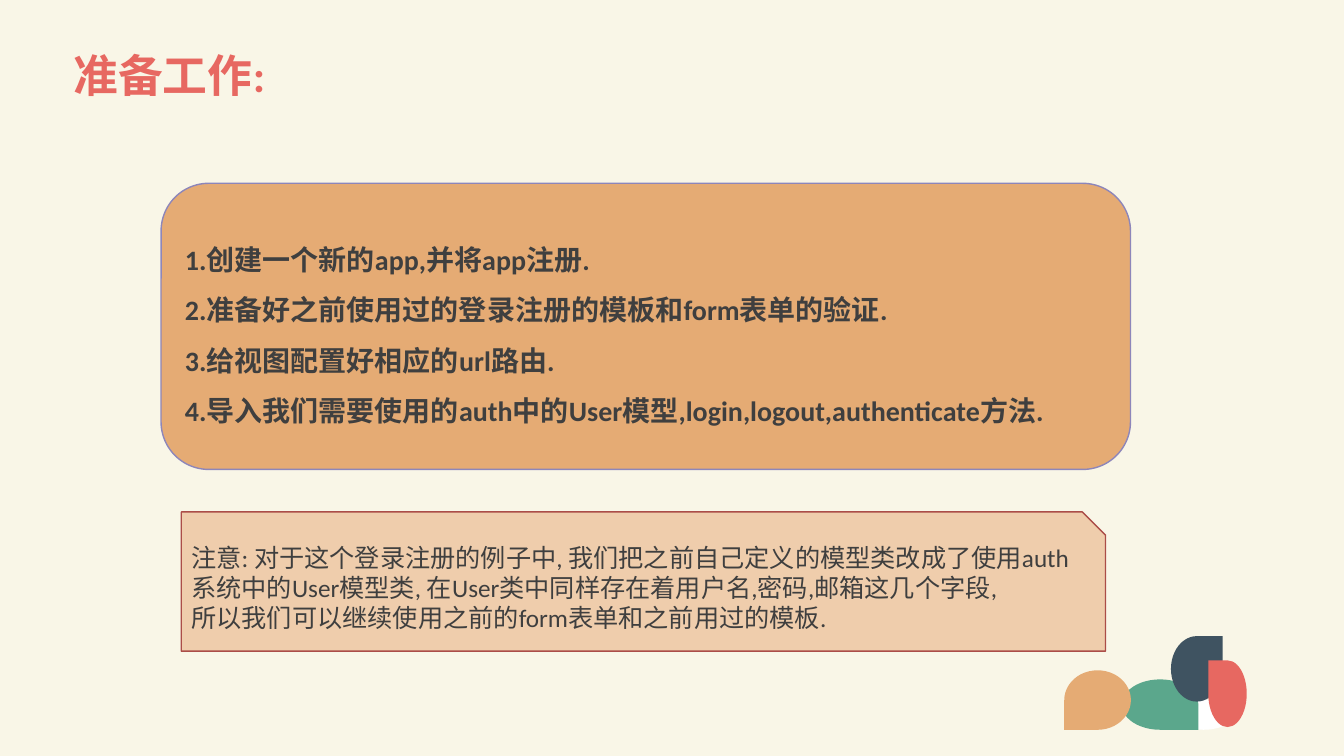
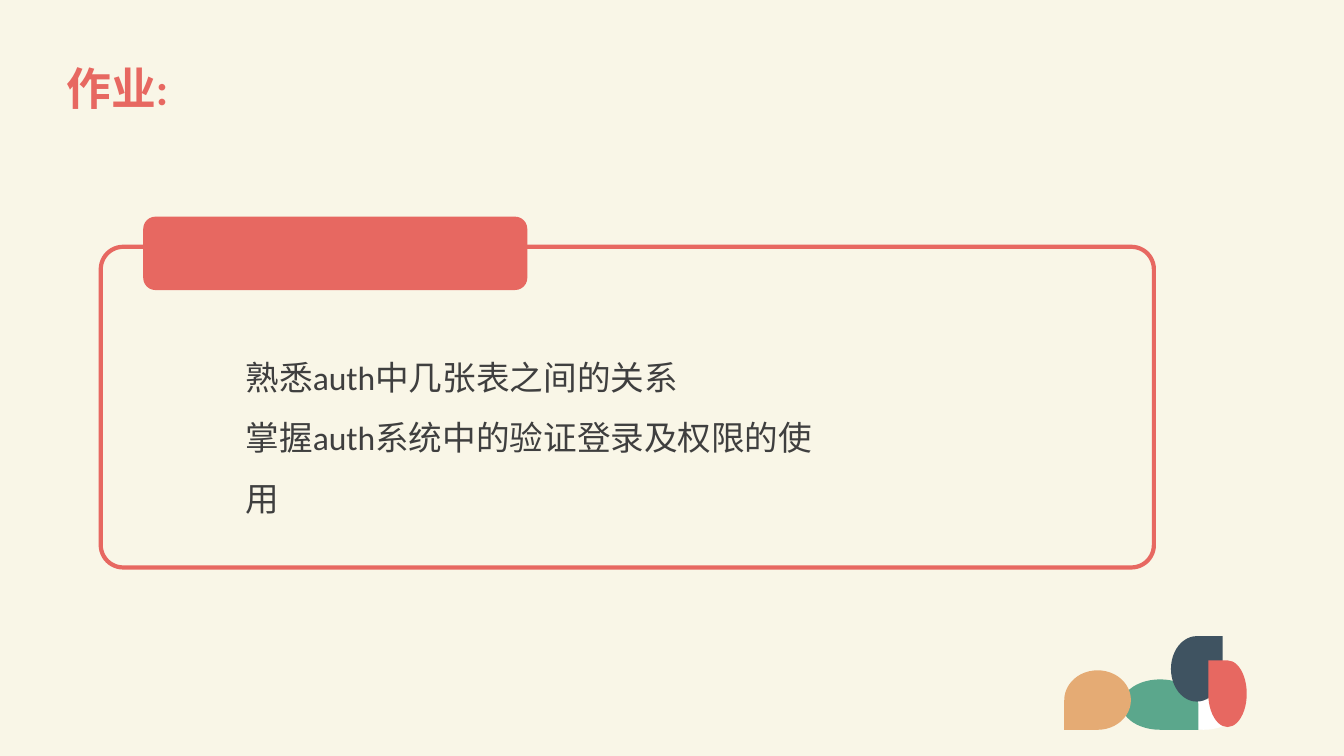
from typing import NamedTuple

from pptx import Presentation
from pptx.dml.color import RGBColor
from pptx.enum.shapes import MSO_SHAPE as Shape
from pptx.enum.text import MSO_ANCHOR as Anchor, PP_ALIGN as Align
from pptx.util import Cm, Pt

FONT = "Calibri"
CREAM, WHITE, INK = "F9F6E7", "FFFFFF", "3F3F3F"
CORAL, GREEN, NAVY, SAND = "E76861", "5BA78C", "3F5361", "E5AB74"
PEACH, BRICK, LILAC = "EFCDAC", "AB4D48", "8D86BA"


class Box(NamedTuple):
    left: float
    top: float
    width: float
    height: float


class Petal(NamedTuple):
    box: Box
    color: str
    turns: int


PEBBLE = Box(29.57, 17.63, 1.52, 0.76)
PETALS = [
    Petal(Box(28.27, 17.12, 1.93, 1.27), GREEN, 1),
    Petal(Box(29.51, 16.03, 1.3, 1.65), NAVY, 0),
    Petal(Box(30.45, 16.64, 0.97, 1.68), CORAL, 3),
    Petal(Box(26.82, 16.89, 1.68, 1.5), SAND, 2),
]

STEPS = [
    "1.创建一个新的app,并将app注册.",
    "2.准备好之前使用过的登录注册的模板和form表单的验证.",
    "3.给视图配置好相应的url路由.",
    "4.导入我们需要使用的auth中的User模型,login,logout,authenticate方法.",
]
NOTE = [
    "注意: 对于这个登录注册的例子中, 我们把之前自己定义的模型类改成了使用"
    "auth系统中的User模型类, 在User类中同样存在着用户名,密码,邮箱这几个字段,",
    "所以我们可以继续使用之前的form表单和之前用过的模板.",
]
HOMEWORK = ["熟悉auth中几张表之间的关系", "掌握auth系统中的验证登录及权限的使用"]


def rgb(color: str) -> RGBColor:
    return RGBColor.from_string(color)


def add_box(slide, kind, box: Box, fill: str = "", line: str = "", weight: float = 1):
    sp = slide.shapes.add_shape(kind, *map(Cm, box))
    sp.shadow.inherit = False
    if fill:
        sp.fill.solid()
        sp.fill.fore_color.rgb = rgb(fill)
    else:
        sp.fill.background()
    if line:
        sp.line.color.rgb = rgb(line)
        sp.line.width = Pt(weight)
    else:
        sp.line.fill.background()
    return sp


def write(sp, lines: list[str], *, size: float, color: str = INK, bold: bool = False,
          spacing: float = 1.0, anchor=Anchor.MIDDLE) -> None:
    tf = sp.text_frame
    tf.word_wrap = True
    tf.vertical_anchor = anchor
    for i, line in enumerate(lines):
        p = tf.add_paragraph() if i else tf.paragraphs[0]
        p.alignment = Align.LEFT
        p.line_spacing = spacing
        r = p.add_run()
        r.text = line
        r.font.name = FONT
        r.font.size = Pt(size)
        r.font.bold = bold
        r.font.color.rgb = rgb(color)


def add_text(slide, box: Box, lines: list[str], **style) -> None:
    write(slide.shapes.add_textbox(*map(Cm, box)), lines, **style)


def add_petal(slide, petal: Petal) -> None:
    left, top, width, height = petal.box
    if petal.turns % 2:
        shift = (width - height) / 2
        left, top, width, height = left + shift, top - shift, height, width
    sp = add_box(slide, Shape.TEAR, Box(left, top, width, height), petal.color)
    sp.rotation = 90 * petal.turns


def add_slide(prs, title: str, left: float, top: float):
    slide = prs.slides.add_slide(prs.slide_layouts[6])
    slide.background.fill.solid()
    slide.background.fill.fore_color.rgb = rgb(CREAM)
    add_box(slide, Shape.OVAL, PEBBLE, WHITE)
    for petal in PETALS:
        add_petal(slide, petal)
    add_text(slide, Box(left, top, 31.22, 2.69), [title],
             size=32, color=CORAL, bold=True, spacing=0.9)
    return slide


def build_preparation(prs) -> None:
    slide = add_slide(prs, "准备工作:", 1.6, 0.61)
    note = add_box(slide, Shape.SNIP_1_RECTANGLE, Box(4.57, 12.9, 23.29, 3.51), PEACH, BRICK)
    write(note, NOTE, size=18)
    steps = add_box(slide, Shape.ROUNDED_RECTANGLE, Box(4.06, 4.62, 24.43, 7.21), SAND, LILAC)
    write(steps, STEPS, size=20, bold=True, spacing=1.5)


def build_homework(prs) -> None:
    slide = add_slide(prs, "作业:", 1.42, 0.94)
    frame = add_box(slide, Shape.ROUNDED_RECTANGLE, Box(2.54, 6.22, 26.54, 8.08),
                    line=CORAL, weight=3)
    frame.adjustments[0] = 0.07
    add_box(slide, Shape.ROUNDED_RECTANGLE, Box(3.61, 5.46, 9.68, 1.85), CORAL)
    add_text(slide, Box(5.94, 8.36, 15.62, 3.33), HOMEWORK,
             size=24, spacing=1.5, anchor=Anchor.TOP)


def main() -> None:
    prs = Presentation()
    prs.slide_width, prs.slide_height = Cm(33.87), Cm(19.05)
    build_preparation(prs)
    build_homework(prs)
    prs.save("out.pptx")


if __name__ == "__main__":
    main()
